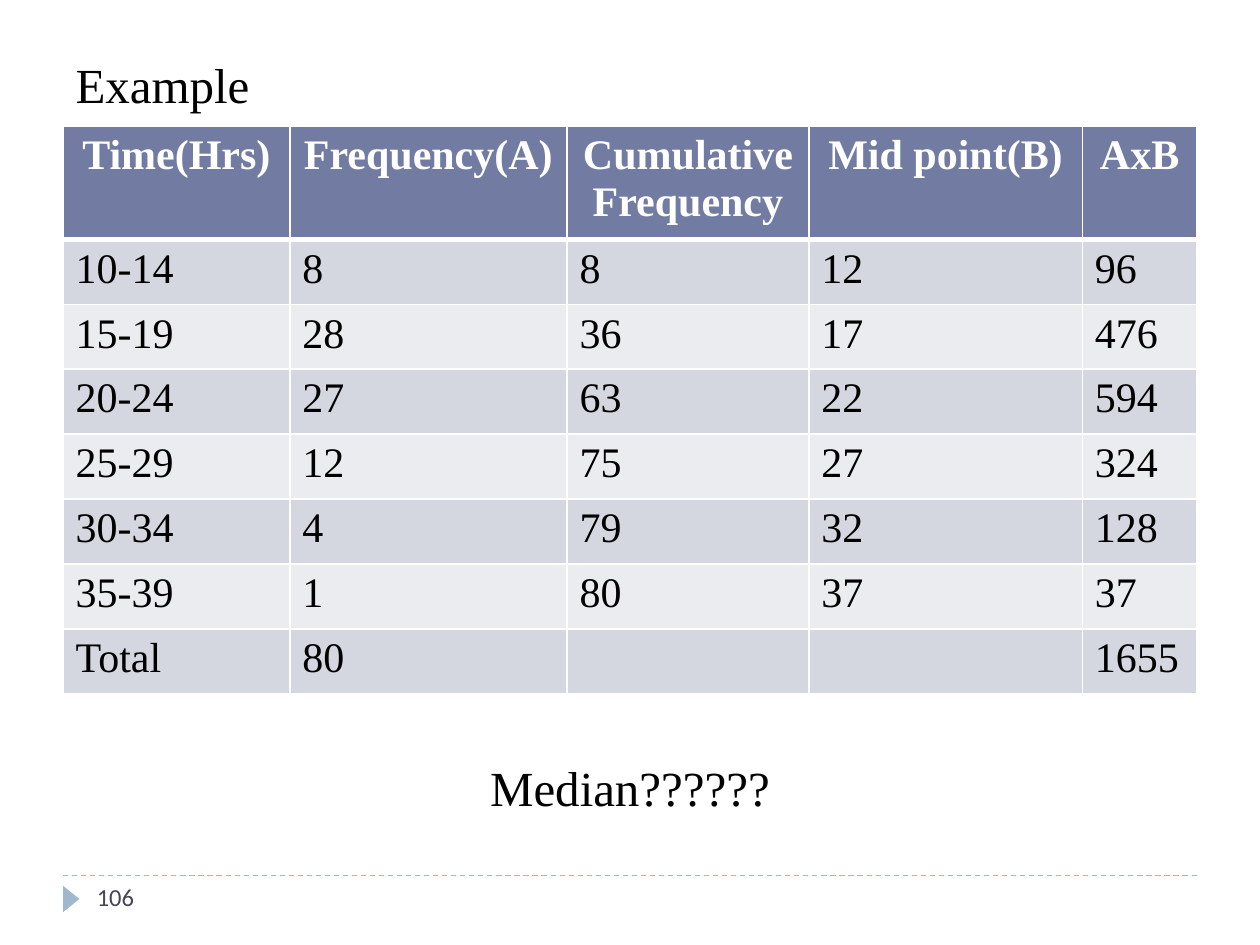
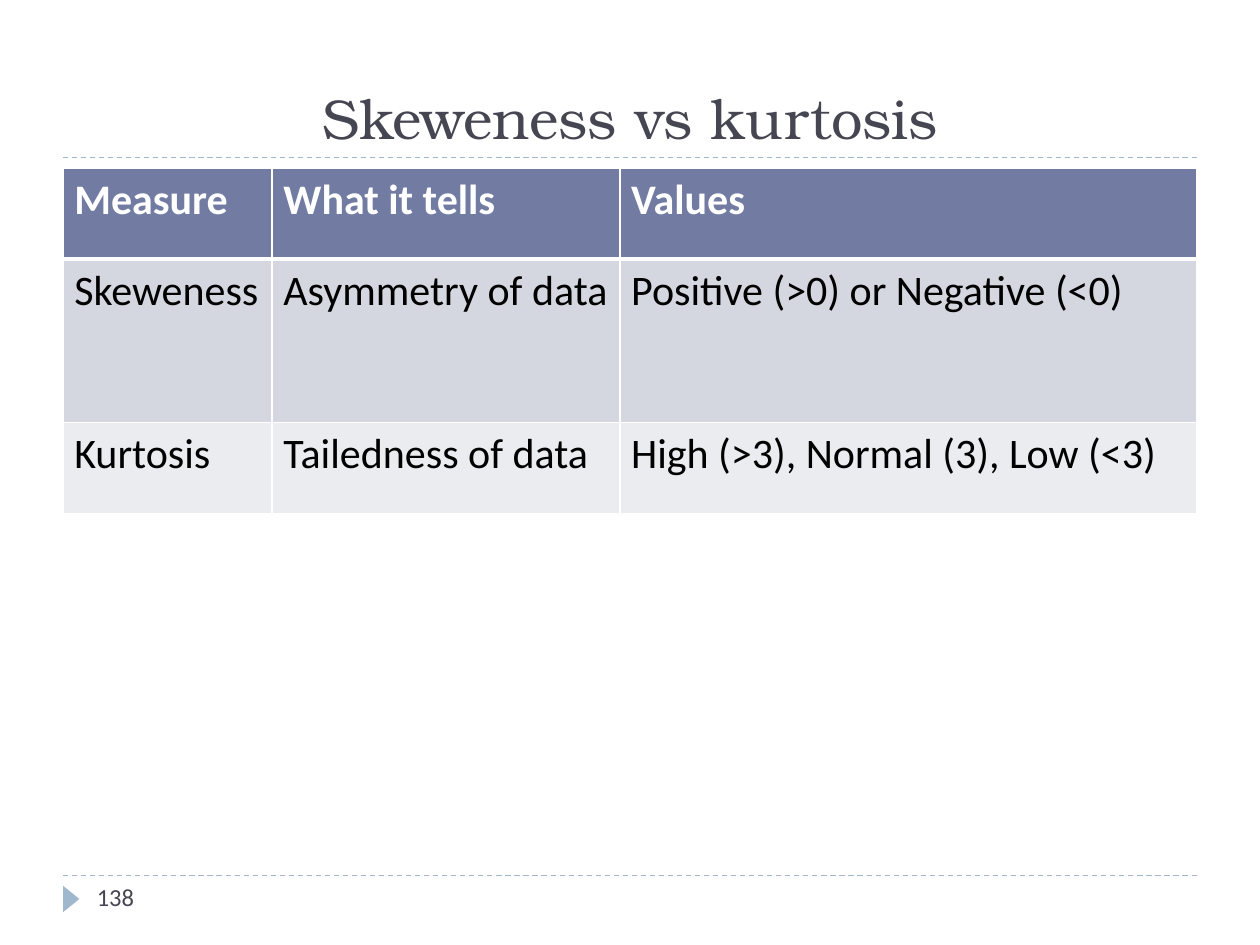
from lxml.etree import SubElement
from pptx import Presentation
from pptx.dml.color import RGBColor
from pptx.enum.dml import MSO_LINE_DASH_STYLE as Dash
from pptx.enum.shapes import MSO_CONNECTOR as Connector, MSO_SHAPE as Shape
from pptx.enum.text import MSO_ANCHOR as Anchor, MSO_AUTO_SIZE as AutoSize, PP_ALIGN as Align
from pptx.oxml.ns import qn
from pptx.util import Inches, Pt

COLUMNS, ROWS = 20, 15
TITLE_ONLY = 5
SERIF, SANS, DISPLAY = "Times New Roman", "Calibri", "TeX Gyre Bonum"


def color(code):
    return RGBColor.from_string(code)


class Deck:
    ink, slate, accent, white = "000000", "464653", "9FB8CD", "FFFFFF"
    header, bands = "727CA3", ("D5D7E0", "EBECF0")
    left, span = 1, 18

    def __init__(self):
        self.show = Presentation()
        self.show.slide_width, self.show.slide_height = Inches(10), Inches(7.5)
        self.slide = None

    def x(self, columns):
        return round(self.show.slide_width * columns / COLUMNS)

    def y(self, rows):
        return round(self.show.slide_height * rows / ROWS)

    def box(self, left, top, width, height):
        return self.x(left), self.y(top), self.x(width), self.y(height)

    def start(self, number):
        self.slide = self.show.slides.add_slide(self.show.slide_layouts[TITLE_ONLY])
        self.rule(2.5)
        self.rule(13.9)
        self.marker()
        self.label(number, (1.34, 13.9, 4.34, 0.8))

    def add_words(self, frame, text, font, size, tint, align=Align.LEFT, bold=False):
        frame.word_wrap = True
        paragraph = frame.paragraphs[0]
        paragraph.alignment = align
        run = paragraph.add_run()
        run.text = text
        run.font.name, run.font.size, run.font.bold = font, Pt(size), bold
        run.font.color.rgb = color(tint)

    def title(self, text, area, font, size, tint, align, anchor):
        heading = self.slide.shapes.title
        heading.left, heading.top, heading.width, heading.height = self.box(*area)
        frame = heading.text_frame
        frame.auto_size = AutoSize.NONE
        frame.vertical_anchor = anchor
        self.add_words(frame, text, font, size, tint, align)

    def rule(self, row):
        line = self.slide.shapes.add_connector(
            Connector.STRAIGHT, self.x(self.left), self.y(row),
            self.x(self.left + self.span), self.y(row))
        line.line.color.rgb = color(self.accent)
        line.line.width = Pt(0.75)
        line.line.dash_style = Dash.DASH
        SubElement(line._element.spPr, qn("a:effectLst"))

    def shape(self, kind, area, fill):
        figure = self.slide.shapes.add_shape(kind, *self.box(*area))
        figure.shadow.inherit = False
        figure.fill.solid()
        figure.fill.fore_color.rgb = color(fill)
        figure.line.fill.background()
        return figure

    def marker(self):
        self.shape(Shape.ISOSCELES_TRIANGLE, (0.92, 14.14, 0.42, 0.26), self.accent).rotation = 90

    def label(self, text, area):
        holder = self.slide.shapes.add_textbox(*self.box(*area))
        self.add_words(holder.text_frame, text, SANS, 14, self.slate)

    def panel(self, text, area):
        frame = self.shape(Shape.RECTANGLE, area, self.white).text_frame
        frame.vertical_anchor = Anchor.MIDDLE
        self.add_words(frame, text, SERIF, 28, self.ink, Align.CENTER)

    def border(self, cell, bottom):
        properties = cell._tc.get_or_add_tcPr()
        for side, width in (("L", 1), ("R", 1), ("T", 1), ("B", bottom)):
            edge = SubElement(properties, qn(f"a:ln{side}"), w=str(Pt(width)))
            SubElement(SubElement(edge, qn("a:solidFill")), qn("a:srgbClr"), val=self.white)

    def table(self, top, widths, heights, records, font, heading_align, inset):
        grid = self.slide.shapes.add_table(
            len(records), len(widths),
            *self.box(self.left, top, sum(widths), sum(heights))).table
        for column, width in zip(grid.columns, widths):
            column.width = self.x(width)
        for r, (row, height, record) in enumerate(zip(grid.rows, heights, records)):
            row.height = self.y(height)
            heading = r == 0
            fill = self.header if heading else self.bands[(r - 1) % 2]
            tint = self.white if heading else self.ink
            align = heading_align if heading else Align.LEFT
            for cell, text in zip(row.cells, record):
                self.border(cell, 3 if heading else 1)
                cell.fill.solid()
                cell.fill.fore_color.rgb = color(fill)
                cell.margin_left = cell.margin_right = Inches(inset)
                if text:
                    self.add_words(cell.text_frame, text, font, 24, tint, align, heading)


def median_example(deck):
    deck.start("106")
    deck.title("Example", (1, 0.76, 18, 1.2), SERIF, 28, deck.ink, Align.LEFT, Anchor.TOP)
    records = [
        ("Time(Hrs)", "Frequency(A)", "Cumulative Frequency", "Mid point(B)", "AxB"),
        ("10-14", "8", "8", "12", "96"),
        ("15-19", "28", "36", "17", "476"),
        ("20-24", "27", "63", "22", "594"),
        ("25-29", "12", "75", "27", "324"),
        ("30-34", "4", "79", "32", "128"),
        ("35-39", "1", "80", "37", "37"),
        ("Total", "80", "", "", "1655"),
    ]
    deck.table(2, (3.6, 4.4, 3.84, 4.34, 1.82), [1.76] + [1.03] * 7,
               records, SERIF, Align.CENTER, 0.1)
    deck.panel("Median??????", (1, 11.16, 18, 2.66))


def shape_measures(deck):
    deck.start("138")
    deck.title("Skeweness vs kurtosis", (1, 0.34, 18, 2.16), DISPLAY, 32,
               deck.slate, Align.CENTER, Anchor.BOTTOM)
    records = [
        ("Measure", "What it tells", "Values"),
        ("Skeweness", "Asymmetry of data", "Positive (>0) or Negative (<0)"),
        ("Kurtosis", "Tailedness of data", "High (>3), Normal (3), Low (<3)"),
    ]
    deck.table(2.67, (3.32, 5.52, 9.16), (1.44, 2.6, 1.44),
               records, SANS, Align.LEFT, 0.09)


def main():
    deck = Deck()
    median_example(deck)
    shape_measures(deck)
    deck.show.save("out.pptx")


if __name__ == "__main__":
    main()
